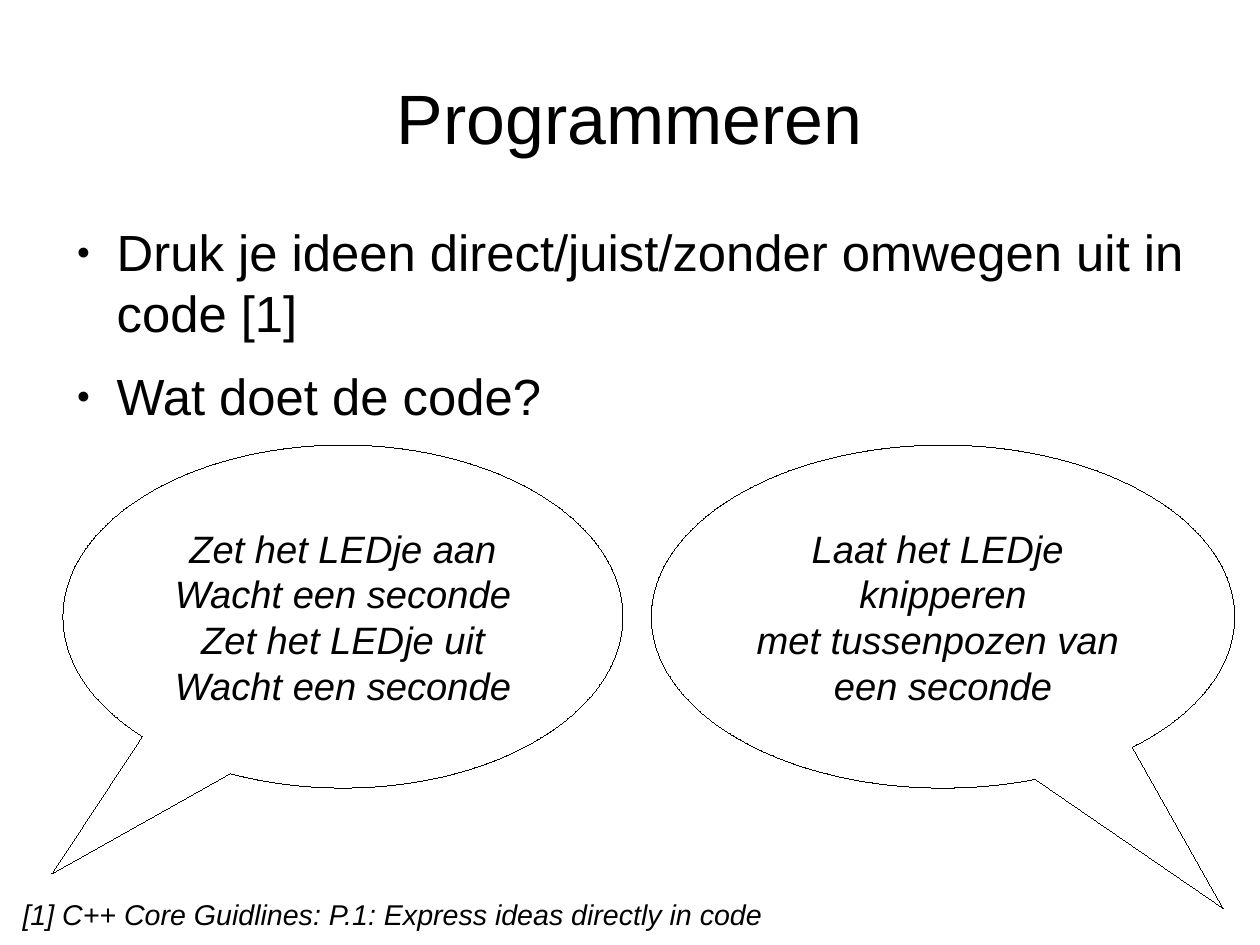
from pptx import Presentation
from pptx.dml.color import RGBColor
from pptx.enum.shapes import MSO_SHAPE
from pptx.enum.text import MSO_ANCHOR, MSO_AUTO_SIZE, PP_ALIGN
from pptx.oxml.ns import qn
from pptx.util import Cm, Inches, Pt
from lxml import etree

BALLOON = MSO_SHAPE.OVAL_CALLOUT
LEFT, CENTER = PP_ALIGN.LEFT, PP_ALIGN.CENTER
TOP, MIDDLE = MSO_ANCHOR.TOP, MSO_ANCHOR.MIDDLE
FIXED, GROW = MSO_AUTO_SIZE.NONE, MSO_AUTO_SIZE.SHAPE_TO_FIT_TEXT


def color(code):
    return RGBColor.from_string(code)


def bullet(par, font):
    """Hang the paragraph behind a small round bullet."""
    props = par._p.get_or_add_pPr()
    props.set("marL", str(Inches(0.47)))
    props.set("indent", str(Inches(-0.35)))
    etree.SubElement(props, qn("a:buSzPct")).set("val", "45000")
    etree.SubElement(props, qn("a:buFont")).set("typeface", font)
    etree.SubElement(props, qn("a:buChar")).set("char", "●")


def write(frame, text, size=18, ink="000000", font="Arial", italic=False,
          align=LEFT, anchor=TOP, wrap=True, fit=FIXED, inset=(0.1, 0.05),
          bullets=False, gap=0):
    frame.word_wrap = wrap
    frame.auto_size = fit
    frame.vertical_anchor = anchor
    frame.margin_left = frame.margin_right = Inches(inset[0])
    frame.margin_top = frame.margin_bottom = Inches(inset[1])
    for i, line in enumerate(text.split("\n")):
        par = frame.paragraphs[0] if i == 0 else frame.add_paragraph()
        par.alignment = align
        if i and gap:
            par.space_before = Pt(gap)
        if bullets:
            bullet(par, font)
        run = par.add_run()
        run.text = line
        run.font.name, run.font.size = font, Pt(size)
        run.font.italic = italic
        run.font.color.rgb = color(ink)


class Deck:
    """Places are given on a grid of 100 columns by 100 rows."""
    ink, paper, hair = "000000", "FFFFFF", 0.01

    def __init__(self, wide, high):
        self.show = Presentation()
        self.show.slide_width = wide
        self.show.slide_height = high
        self.slide = self.show.slides.add_slide(self.show.slide_layouts[6])

    def place(self, col, row, cols, rows):
        wide, high = self.show.slide_width, self.show.slide_height
        return [round(share * side / 100) for share, side in
                ((col, wide), (row, high), (cols, wide), (rows, high))]

    def text(self, spot, words, **style):
        box = self.slide.shapes.add_textbox(*self.place(*spot))
        write(box.text_frame, words, ink=self.ink, **style)

    def balloon(self, spot, tip, words):
        shape = self.slide.shapes.add_shape(BALLOON, *self.place(*spot))
        shape.shadow.inherit = False
        shape.adjustments[0], shape.adjustments[1] = tip
        shape.fill.solid()
        shape.fill.fore_color.rgb = color(self.paper)
        shape.line.color.rgb = color(self.ink)
        shape.line.width = Pt(self.hair)
        write(shape.text_frame, words, size=24, ink=self.ink, italic=True,
              align=CENTER, anchor=MIDDLE, wrap=False)


def main():
    deck = Deck(Cm(28), Cm(21))

    # Title and bullets
    deck.text((5, 4, 90, 16.7), "Programmeren", size=44, align=CENTER,
              anchor=MIDDLE, inset=(0, 0))
    deck.text((5, 23.35, 90, 57.9),
              "Druk je ideen direct/juist/zonder omwegen uit in code [1]\n"
              "Wat doet de code?",
              size=32, inset=(0, 0), bullets=True, gap=14.2)

    # Source line
    deck.text((0.9, 94.3, 60.6, 4.6),
              "[1] C++ Core Guidlines: P.1: Express ideas directly in code",
              italic=True, wrap=False, fit=GROW)

    # Speech balloons
    row, rows = 47.1, 36.3
    deck.balloon((5, row, 44.45, rows), (-0.52, 0.75),
                 "Zet het LEDje aan\nWacht een seconde\n"
                 "Zet het LEDje uit\nWacht een seconde")
    deck.balloon((51.7, row, 46.3, rows), (0.48, 0.85),
                 "Laat het LEDje \nknipperen\n"
                 "met tussenpozen van \neen seconde")

    deck.show.save("out.pptx")


if __name__ == "__main__":
    main()
